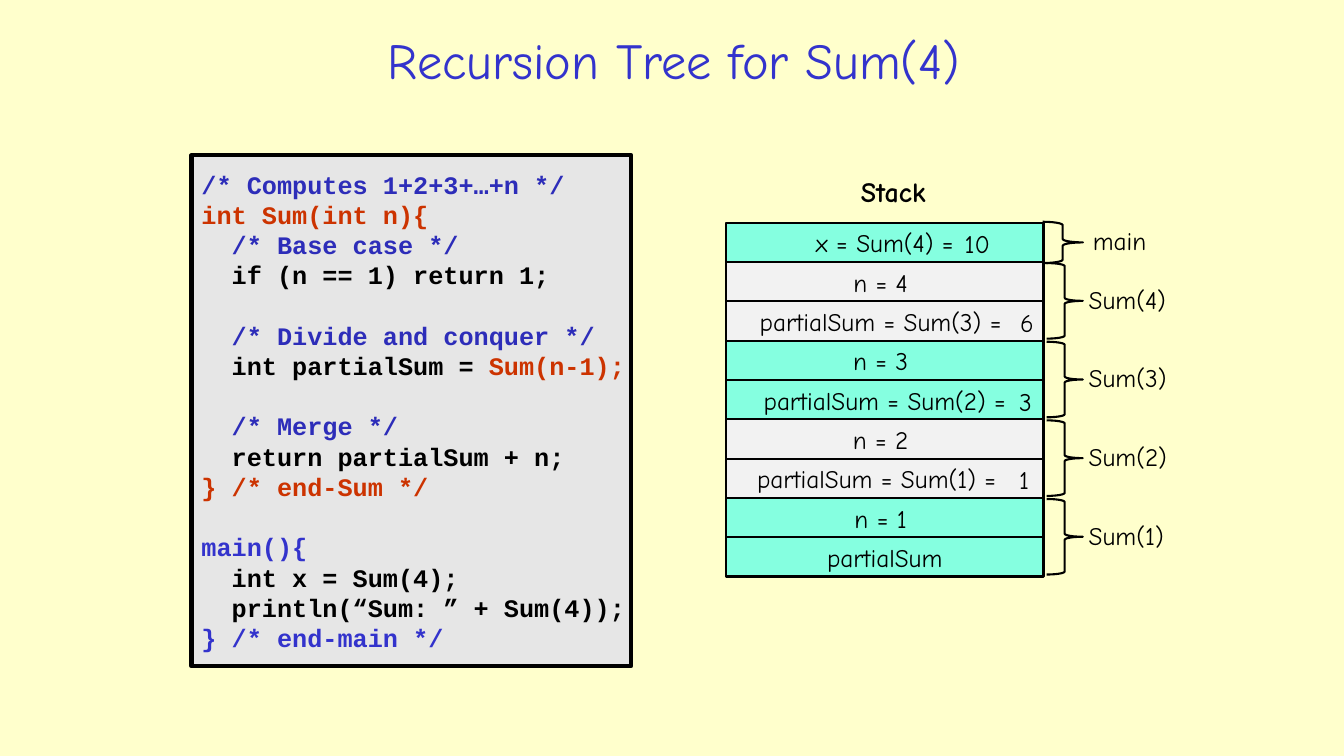
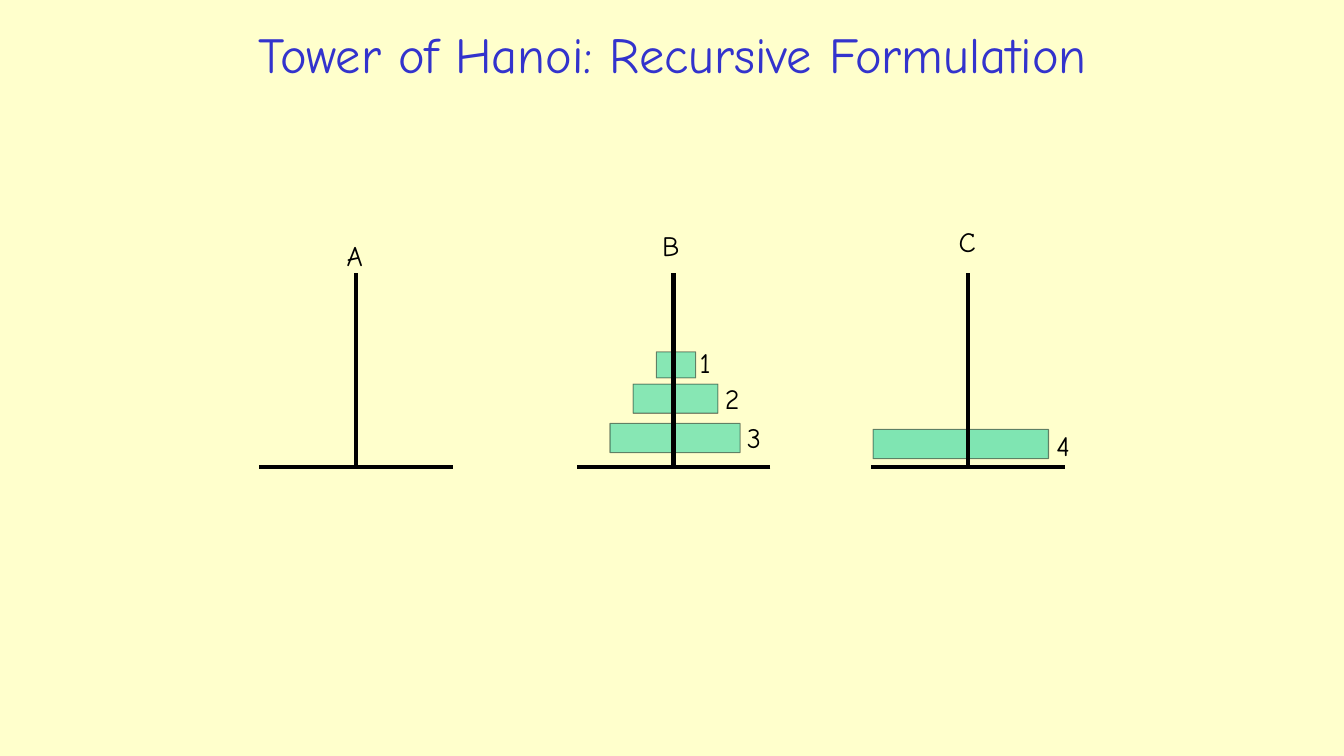
from lxml import etree
from pptx import Presentation
from pptx.dml.color import RGBColor
from pptx.enum.shapes import MSO_CONNECTOR, MSO_SHAPE
from pptx.enum.text import MSO_ANCHOR, PP_ALIGN
from pptx.oxml.ns import qn
from pptx.util import Inches, Pt

RECT, BRACE = MSO_SHAPE.RECTANGLE, MSO_SHAPE.RIGHT_BRACE
LINE = MSO_CONNECTOR.STRAIGHT
LEFT, MID = PP_ALIGN.LEFT, PP_ALIGN.CENTER
TOP, CENTER = MSO_ANCHOR.TOP, MSO_ANCHOR.MIDDLE

theme = {
    "paper": "FFFFCC", "title": "3333CC", "ink": "000000",
    "panel": "E6E6E6", "grey": "F2F2F2", "mint": "85FFE0", "disc": "00CC99",
    "note": "2D2DB9", "call": "CC3300",
    "head": {"name": "Comic Neue", "size": Pt(36)},
    "body": {"name": "Comic Neue", "size": Pt(18)},
    "label": {"name": "Comic Neue", "size": Pt(20)},
    "strong": {"name": "Comic Neue", "size": Pt(20), "bold": True},
    "code": {"name": "Courier New", "size": Pt(18), "bold": True},
}


def put(slide, kind, at, fill=None, line=1.5):
    spot = [Inches(v) for v in at]
    if kind is None:
        return slide.shapes.add_textbox(*spot)
    shape = slide.shapes.add_shape(kind, *spot)
    shape.shadow.inherit = False
    if fill:
        shape.fill.solid()
        shape.fill.fore_color.rgb = RGBColor.from_string(theme[fill])
    else:
        shape.fill.background()
    shape.line.color.rgb = RGBColor.from_string(theme["ink"])
    shape.line.width = Pt(line)
    return shape


def write(shape, rows, look="body", align=LEFT, anchor=TOP, wrap=True, gap=0):
    frame = shape.text_frame
    frame.word_wrap = wrap
    frame.vertical_anchor = anchor
    space = 0
    para = frame.paragraphs[0]
    for i, row in enumerate(rows):
        if not row:
            space = gap
            continue
        if i:
            para = frame.add_paragraph()
        para.alignment = align
        if space:
            para.space_before = Pt(space)
            space = 0
        for text, tint in row:
            run = para.add_run()
            run.text = text
            for key, val in theme[look].items():
                setattr(run.font, key, val)
            run.font.color.rgb = RGBColor.from_string(theme[tint])


deck = Presentation()
deck.slide_width, deck.slide_height = Inches(13.33), Inches(7.5)
back = deck.slide_master.background.fill
back.solid()
back.fore_color.rgb = RGBColor.from_string(theme["paper"])

pages = []
for title, at in [
    ("Recursion Tree for Sum(4)", (1.9, 0.24, 9.57, 0.7)),
    ("Tower of Hanoi: Recursive Formulation", (1.84, 0.15, 9.67, 0.76)),
]:
    page = deck.slides.add_slide(deck.slide_layouts[6])
    write(put(page, None, at), [[(title, "title")]], "head", MID, CENTER)
    pages.append(page)
tree, tower = pages

code = [
    [("/* Computes 1+2+3+…+n */", "note")],
    [("int Sum(int n){", "call")],
    [("  ", "ink"), ("/* Base case */", "note")],
    [("  if (n == 1) return 1;", "ink")],
    [],
    [("  ", "ink"), ("/* Divide and conquer */", "note")],
    [("  int partialSum = ", "ink"), ("Sum(n-1);", "call")],
    [],
    [("  ", "ink"), ("/* Merge */", "note")],
    [("  return partialSum + n;", "ink")],
    [("} /* end-Sum */", "call")],
    [],
    [("main(){", "title")],
    [("  int x = Sum(4);", "ink")],
    [("  println(“Sum: ” + Sum(4));", "ink")],
    [("} /* end-main */", "title")],
]
panel = put(tree, RECT, (1.9, 1.54, 4.36, 5.07), "panel", 3)
write(panel, code, "code", anchor=CENTER, wrap=False, gap=21.6)

write(put(tree, None, (8.44, 1.68, 1.13, 0.44)), [[("Stack", "ink")]], "strong")

stack = [
    ("main", "mint", [("x = Sum(4) =", 0, "10", 9.47)]),
    ("Sum(4)", "grey", [("n = 4", 0.08, "", 0), ("partialSum = Sum(3) =", 0.08, "6", 10.02)]),
    ("Sum(3)", "mint", [("n = 3", 0.08, "", 0), ("partialSum = Sum(2) =", 0, "3", 10.01)]),
    ("Sum(2)", "grey", [("n = 2", 0.08, "", 0), ("partialSum = Sum(1) =", 0.16, "1", 10.01)]),
    ("Sum(1)", "mint", [("n = 1", 0.08, "", 0), ("partialSum", 0, "", 0)]),
]
step = 0.39
y = 2.21
for name, fill, cells in stack:
    tall = step * len(cells)
    for i, (text, pad, value, x) in enumerate(cells):
        top = y + i * step
        cell = put(tree, RECT, (7.2, top, 3.15, step), fill)
        cell.text_frame.margin_right = Inches(0.1 + pad)
        write(cell, [[(text, "ink")]], align=MID)
        if value:
            wide = 0.47 if len(value) > 1 else 0.36
            write(put(tree, None, (x, top + 0.01, wide, 0.4)), [[(value, "ink")]], wrap=False)
    if name == "main":
        put(tree, BRACE, (10.34, y - 0.01, 0.4, 0.41))
    else:
        put(tree, BRACE, (10.38, y + 0.01, 0.36, 0.75))
    left = 10.74 if name == "main" else 10.7
    write(put(tree, None, (left, y + tall / 2 - 0.22, 1.27, 0.4)), [[(name, "ink")]])
    y += tall

discs = [
    ("1", 6.51, 3.49, 0.39, 0.26, 47, 6.84, 3.38),
    ("2", 6.28, 3.81, 0.84, 0.29, 47, 7.09, 3.74),
    ("3", 6.05, 4.2, 1.29, 0.29, 47, 7.31, 4.12),
    ("4", 8.66, 4.26, 1.74, 0.29, 50, 10.38, 4.2),
]
for name, x, y, wide, tall, fade, left, top in discs:
    disc = put(tower, RECT, (x, y, wide, tall), "disc", 0.75)
    paints = disc.element.spPr.iter(qn("a:srgbClr"))
    for paint, part in zip(list(paints), (fade, 46)):
        etree.SubElement(paint, qn("a:alpha"), val=str(part * 1000))
    write(put(tower, None, (left, top, 0.33, 0.54)), [[(name, "ink")]], "label")

base, peak, half = 4.63, 2.71, 0.96
for name, x, left, top in [
    ("A", 3.53, 3.34, 2.32), ("B", 6.68, 6.47, 2.22), ("C", 9.6, 9.41, 2.18),
]:
    for ends in [(x, peak, x, base), (x + half, base, x - half, base)]:
        bar = tower.shapes.add_connector(LINE, *[Inches(v) for v in ends])
        bar.line.color.rgb = RGBColor.from_string(theme["ink"])
        bar.line.width = Pt(3)
        etree.SubElement(bar.element.spPr, qn("a:effectLst"))
    write(put(tower, None, (left, top, 0.33, 0.54)), [[(name, "ink")]], "label")

deck.save("out.pptx")
